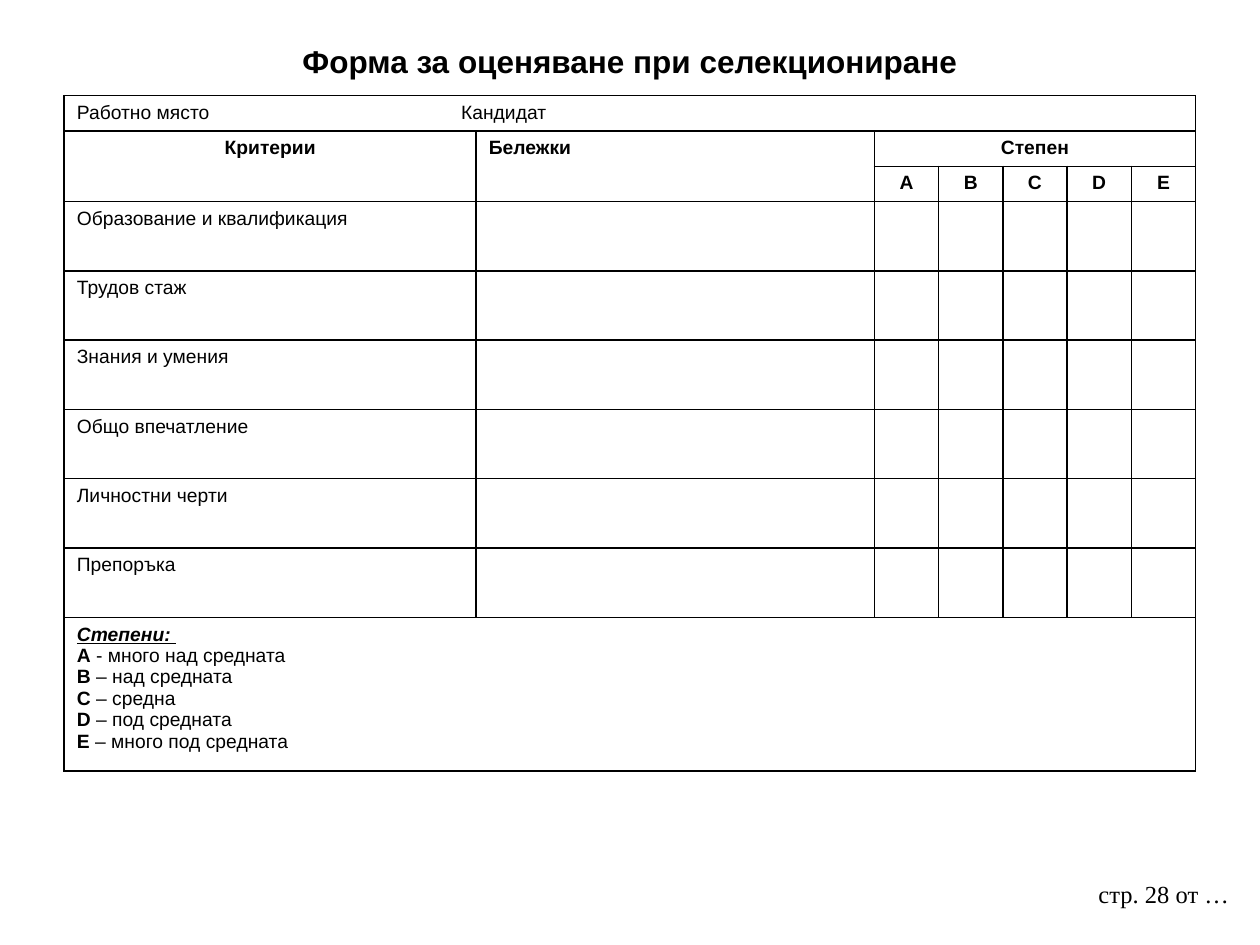
from lxml import etree
from pptx import Presentation
from pptx.dml.color import RGBColor
from pptx.enum import text
from pptx.oxml import ns
from pptx.util import Inches, Pt

BLACK, WHITE = "000000", "FFFFFF"
CENTER = text.PP_ALIGN.CENTER


def add_run(p, words, name="Arial", size=11, color=BLACK, **formats):
    r = p.add_run()
    r.text = words
    for key, value in dict(name=name, size=Pt(size), **formats).items():
        setattr(r.font, key, value)
    r.font.color.rgb = RGBColor.from_string(color)


def add_borders(cell):
    """Draw all four cell edges, ahead of the fill as the schema requires."""
    tc_pr = cell._tc.get_or_add_tcPr()
    for i, side in enumerate(("lnL", "lnR", "lnT", "lnB")):
        ln = etree.Element(ns.qn(f"a:{side}"), w=str(Pt(1)))
        fill = etree.SubElement(ln, ns.qn("a:solidFill"))
        etree.SubElement(fill, ns.qn("a:srgbClr"), val=BLACK)
        tc_pr.insert(i, ln)


prs = Presentation()
prs.slide_width, prs.slide_height = Inches(10), Inches(7.5)
s = prs.slides.add_slide(prs.slide_layouts[5])

# Title
title = s.shapes.title
title.left, title.top = Inches(0.51), Inches(0.28)
title.width, title.height = Inches(8.98), Inches(0.4)
tf = title.text_frame
tf.vertical_anchor = text.MSO_ANCHOR.MIDDLE
tf.paragraphs[0].alignment = CENTER
add_run(tf.paragraphs[0], "Форма за оценяване при селекциониране", size=18, bold=True)

# Evaluation form
grades = "ABCDE"
criteria = ["Образование и квалификация", "Трудов стаж", "Знания и умения",
            "Общо впечатление", "Личностни черти", "Препоръка"]
widths = [3.27, 3.16] + [0.51] * len(grades)
heights = [0.28] * 3 + [0.55] * len(criteria) + [1.22]
last_row, last_col = len(heights) - 1, len(widths) - 1

table = s.shapes.add_table(len(heights), len(widths), Inches(0.51), Inches(0.76),
                           Inches(sum(widths)), Inches(sum(heights))).table
table.first_row = table.horz_banding = False
for column, width in zip(table.columns, widths):
    column.width = Inches(width)
for row, height in zip(table.rows, heights):
    row.height = Inches(height)
for cell in table.iter_cells():
    cell.fill.solid()
    cell.fill.fore_color.rgb = RGBColor.from_string(WHITE)
    add_borders(cell)

for start, end in [((0, 0), (0, last_col)), ((1, 0), (2, 0)), ((1, 1), (2, 1)),
                   ((1, 2), (1, last_col)), ((last_row, 0), (last_row, last_col))]:
    table.cell(*start).merge(table.cell(*end))

# Job and candidate line, with a tab stop before the candidate
p = table.cell(0, 0).text_frame.paragraphs[0]
tabs = etree.SubElement(p._p.get_or_add_pPr(), ns.qn("a:tabLst"))
etree.SubElement(tabs, ns.qn("a:tab"), pos=str(Inches(3.05)), algn="l")
add_run(p, "Работно място\tКандидат")

headings = [(1, 0, "Критерии", CENTER), (1, 1, "Бележки", None), (1, 2, "Степен", CENTER)]
headings += [(2, col, grade, CENTER) for col, grade in enumerate(grades, 2)]
for row, col, words, alignment in headings:
    p = table.cell(row, col).text_frame.paragraphs[0]
    p.alignment = alignment
    add_run(p, words, bold=True)

for row, criterion in enumerate(criteria, 3):
    add_run(table.cell(row, 0).text_frame.paragraphs[0], criterion)

# Key to the grades
tf = table.cell(last_row, 0).text_frame
add_run(tf.paragraphs[0], "Степени: ", bold=True, italic=True, underline=True)
for grade, meaning in [("А", " - много над средната"), ("B ", "– над средната"),
                       ("C ", "– средна"), ("D ", "– под средната"),
                       ("E", " – много под средната")]:
    p = tf.add_paragraph()
    add_run(p, grade, bold=True)
    add_run(p, meaning, bold=False)

# Page number
page = s.shapes.add_textbox(Inches(8.62), Inches(6.93), Inches(1.3), Inches(0.52))
page.text_frame.word_wrap = True
add_run(page.text_frame.paragraphs[0], "стр. 28 от …", name="Times New Roman", size=14)

prs.save("out.pptx")
